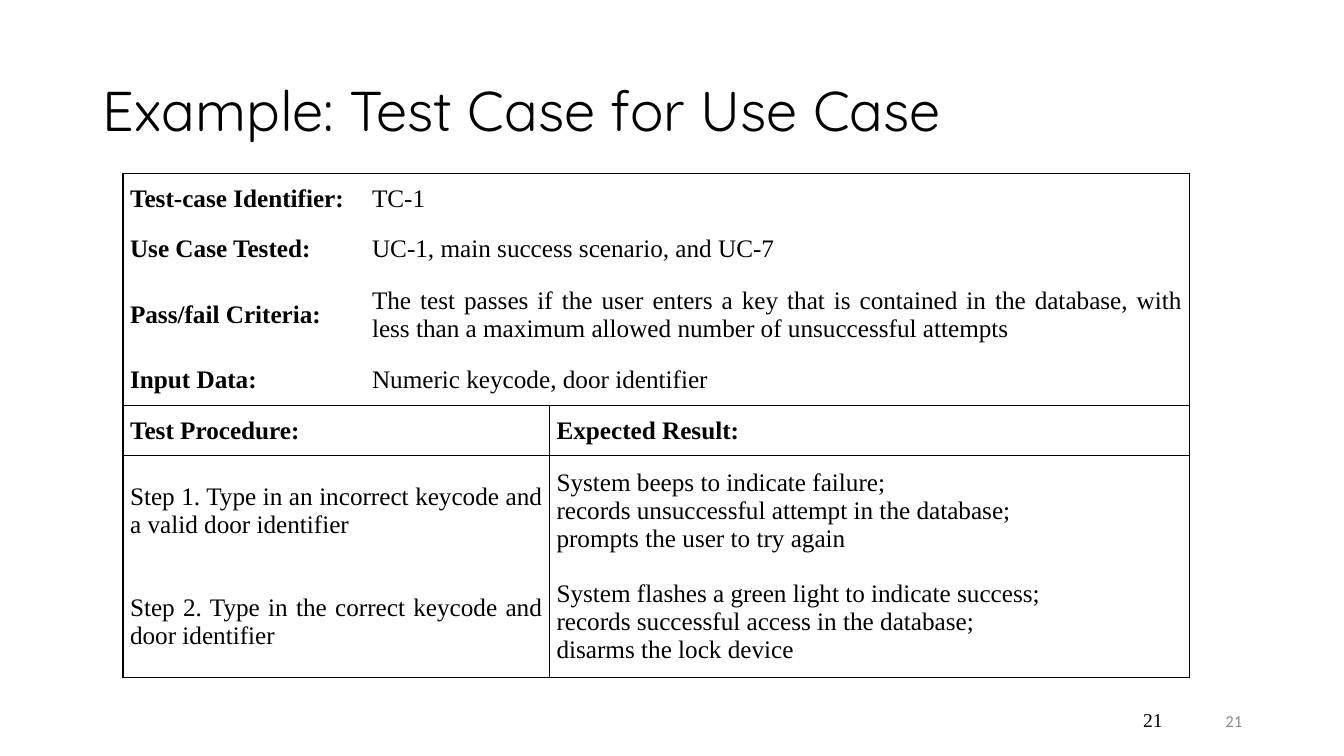
from lxml import etree
from pptx import Presentation
from pptx import util as u
from pptx.dml.color import RGBColor
from pptx.enum import text
from pptx.oxml import ns

# Content
TITLE = "Example: Test Case for Use Case"
PAGE = "21"
SUMMARY = [
    ("Test-case Identifier:", "TC-1"),
    ("Use Case Tested:", "UC-1, main success scenario, and UC-7"),
    ("Pass/fail Criteria:",
     "The test passes if the user enters a key that is contained in the database, "
     "with less than a maximum allowed number of unsuccessful attempts"),
    ("Input Data:", "Numeric keycode, door identifier"),
]
HEADINGS = ("Test Procedure:", "Expected Result:")
STEPS = [
    ("Step 1. Type in an incorrect keycode and a valid door identifier",
     ["System beeps to indicate failure;",
      "records unsuccessful attempt in the database;",
      "prompts the user to try again"]),
    ("Step 2. Type in the correct keycode and door identifier",
     ["System flashes a green light to indicate success;",
      "records successful access in the database;",
      "disarms the lock device"]),
]

# Theme and grid
THEME = {
    "title": ("Quicksand", 40, "000000"),
    "body": ("Times New Roman", 18, "000000"),
    "page": ("Times New Roman", 14, "000000"),
    "footer": ("Calibri", 12, "8C8C8C"),
    "rule": ("000000", 1),
}
SIZE = (13.33, 7.5)
TITLE_BOX = (0.92, 0.4, 11.5, 1.45)
TABLE_AT = (1.22, 1.72)
COLS = (2.4, 1.83, 6.35)
LINE_ROW = 0.49
ROWS = [LINE_ROW * n for n in (1, 1, 1.5, 1, 1, 2, 2)]
HEAD_ROW = len(SUMMARY)
ALIGN = text.PP_ALIGN


def style(font, role, bold=False):
    font.name, size, color = THEME[role]
    font.size, font.bold = u.Pt(size), bold
    font.color.rgb = RGBColor.from_string(color)


def write(p, lines, role, align, bold=False):
    p.alignment = align
    for i, line in enumerate(lines):
        if i:
            p.add_line_break()
        r = p.add_run()
        r.text = line
        style(r.font, role, bold)


def page_number(s, box, role, anchor):
    sp = s.shapes.add_textbox(*map(u.Inches, box))
    tf = sp.text_frame
    tf.word_wrap, tf.vertical_anchor = True, anchor
    write(tf.paragraphs[0], [PAGE], role, ALIGN.RIGHT)


def set_borders(cell, sides):
    color, width = THEME["rule"]
    pr = cell._tc.get_or_add_tcPr()
    for i, side in enumerate("LRTB"):
        ln = etree.Element(ns.qn(f"a:ln{side}"), w=str(u.Pt(width)))
        if side in sides:
            fill = etree.SubElement(ln, ns.qn("a:solidFill"))
            etree.SubElement(fill, ns.qn("a:srgbClr"), val=color)
        else:
            etree.SubElement(ln, ns.qn("a:noFill"))
        pr.insert(i, ln)


def fill_cell(tbl, row, first, last, lines, bold=False, align=ALIGN.JUSTIFY):
    cell = tbl.cell(row, first)
    if last > first:
        cell.merge(tbl.cell(row, last))
    cell.vertical_anchor = text.MSO_ANCHOR.MIDDLE
    cell.margin_left = cell.margin_right = u.Inches(0.07)
    cell.margin_top = cell.margin_bottom = u.Inches(0.1)
    write(cell.text_frame.paragraphs[0], lines, "body", align, bold)
    # Outer frame, rules around the heading row, divider from there down
    split = row >= HEAD_ROW
    sides = {
        "L": first == 0 or split,
        "R": last == len(COLS) - 1 or split,
        "T": row in (0, HEAD_ROW, HEAD_ROW + 1),
        "B": row in (HEAD_ROW - 1, HEAD_ROW, len(ROWS) - 1),
    }
    for col in range(first, last + 1):
        part = tbl.cell(row, col)
        part.fill.background()
        inner = ("L" if col > first else "") + ("R" if first < col < last else "")
        set_borders(part, [k for k, on in sides.items() if on and k not in inner])


def add_test_case(s):
    box = (*TABLE_AT, sum(COLS), sum(ROWS))
    tbl = s.shapes.add_table(len(ROWS), len(COLS), *map(u.Inches, box)).table
    tbl.first_row = tbl.horz_banding = False
    for col, width in zip(tbl.columns, COLS):
        col.width = u.Inches(width)
    for row, height in zip(tbl.rows, ROWS):
        row.height = u.Inches(height)
    for row, (label, value) in enumerate(SUMMARY):
        fill_cell(tbl, row, 0, 0, [label], bold=True)
        fill_cell(tbl, row, 1, 2, [value])
    fill_cell(tbl, HEAD_ROW, 0, 1, [HEADINGS[0]], bold=True)
    fill_cell(tbl, HEAD_ROW, 2, 2, [HEADINGS[1]], bold=True)
    for row, (step, results) in enumerate(STEPS, HEAD_ROW + 1):
        fill_cell(tbl, row, 0, 1, [step])
        fill_cell(tbl, row, 2, 2, results, align=ALIGN.LEFT)


def main():
    prs = Presentation()
    prs.slide_width, prs.slide_height = map(u.Inches, SIZE)
    s = prs.slides.add_slide(prs.slide_layouts[5])

    # Title
    sp = s.shapes.title
    sp.left, sp.top, sp.width, sp.height = map(u.Inches, TITLE_BOX)
    tf = sp.text_frame
    tf.vertical_anchor = text.MSO_ANCHOR.MIDDLE
    tf.paragraphs[0].line_spacing = 0.9
    write(tf.paragraphs[0], [TITLE], "title", ALIGN.LEFT)

    # Page numbers and table
    page_number(s, (9.42, 6.95, 3, 0.4), "footer", text.MSO_ANCHOR.MIDDLE)
    page_number(s, (11.01, 6.97, 0.62, 0.5), "page", text.MSO_ANCHOR.TOP)
    add_test_case(s)
    prs.save("out.pptx")


if __name__ == "__main__":
    main()
